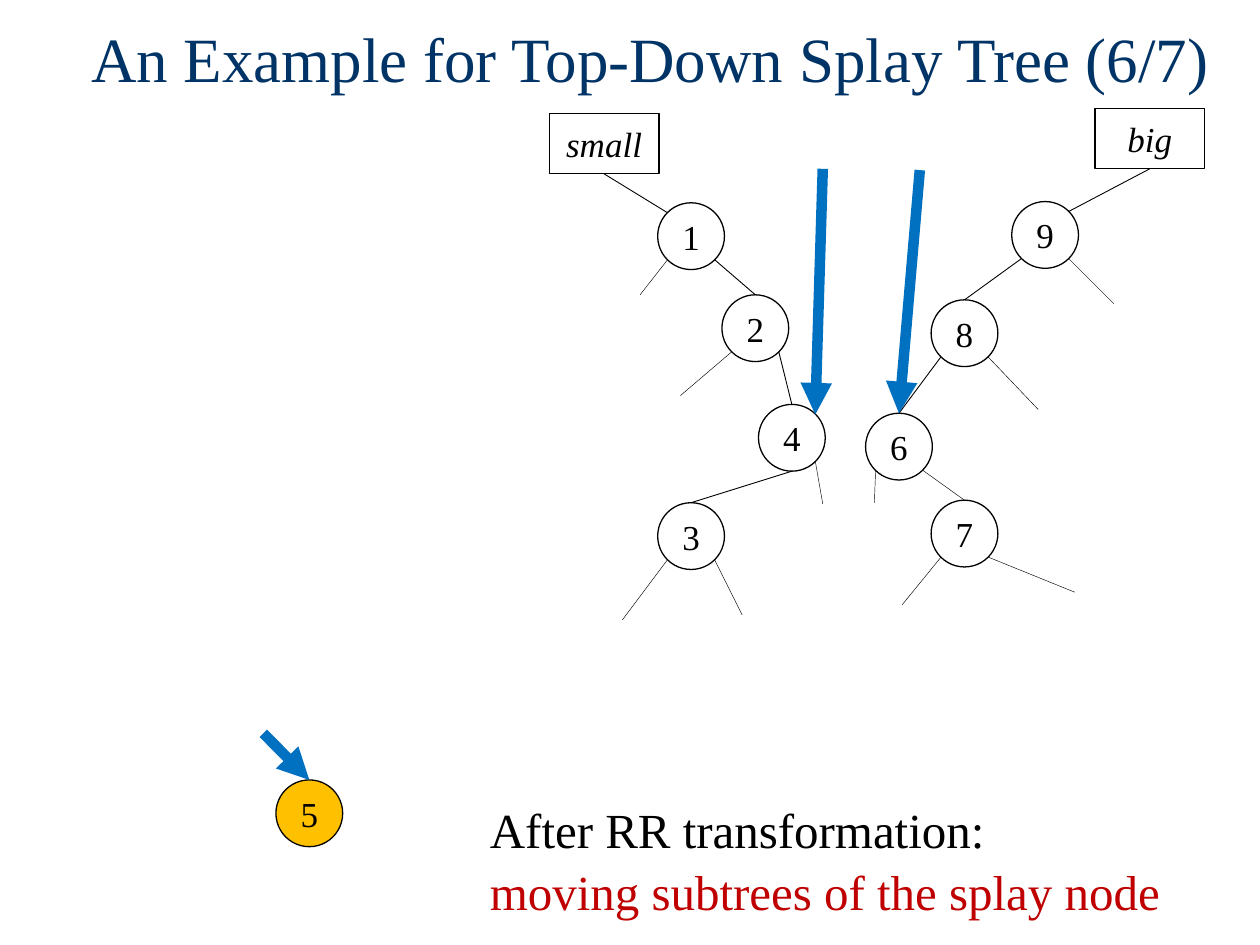
"""Build the slide showing step six of a top-down splay tree example."""
import pptx
import pptx.dml.color
import pptx.enum.shapes
import pptx.enum.text
import pptx.oxml
import pptx.oxml.ns
import pptx.util

Inches = pptx.util.Inches
Pt = pptx.util.Pt
SHAPES = pptx.enum.shapes.MSO_SHAPE
ALIGN = pptx.enum.text.PP_ALIGN
ANCHOR = pptx.enum.text.MSO_ANCHOR

DIAMETER = 0.53
NODES = {
    "1": (5.22, 1.61), "2": (5.73, 2.34), "3": (5.22, 3.99),
    "4": (6.02, 3.21), "5": (2.19, 6.19), "6": (6.87, 3.28),
    "7": (7.39, 3.97), "8": (7.39, 2.38), "9": (8.03, 1.6),
}
ANCHORS = {
    "top": (0.5, 0), "bottom": (0.5, 1),
    "upper left": (0.15, 0.15), "upper right": (0.85, 0.15),
    "lower left": (0.15, 0.85), "lower right": (0.85, 0.85),
}
BRANCHES = [
    ("1", "lower right", "2", "top", 0.5),
    ("2", "lower right", "4", "top", 0.5),
    ("4", "bottom", "3", "top", 0.5),
    ("9", "lower left", "8", "top", 0.5),
    ("8", "lower left", "6", "top", 0.5),
    ("6", "lower right", "7", "top", 0.25),
]
SUBTREES = [
    ("1", "lower left", (5.08, 2.34)), ("2", "lower left", (5.4, 3.14)),
    ("3", "lower left", (4.94, 4.92)), ("3", "lower right", (5.89, 4.88)),
    ("4", "lower right", (6.53, 4)), ("6", "lower left", (6.94, 3.99)),
    ("7", "lower left", (7.16, 4.8)), ("7", "lower right", (8.53, 4.7)),
    ("8", "lower right", (8.24, 3.25)), ("9", "lower right", (8.84, 2.41)),
]
ROOTS = [
    ("small", (4.36, 0.9), "1", "upper left"),
    ("big", (8.69, 0.86), "9", "upper right"),
]
POINTERS = [
    ((2.09, 5.82), "5", "top"),
    ((7.3, 1.35), "6", "top"),
    ((6.53, 1.34), "4", "upper right"),
]


def color(value):
    """Turn a hex string into a colour."""
    return pptx.dml.color.RGBColor.from_string(value)


def node_point(node, anchor):
    """Return the position of an anchor on the rim of a node."""
    return tuple(start + DIAMETER * share
                 for start, share in zip(NODES[node], ANCHORS[anchor]))


class SlideBuilder:
    """Hold the style and the current slide."""

    font_name = "Times New Roman"
    ink = "000000"
    blue = "0070C0"

    def __init__(self, slide):
        """Keep the slide to draw on."""
        self.slide = slide

    def set_text(self, paragraph, text, size, ink, alignment=ALIGN.CENTER):
        """Fill a paragraph with text in the house font."""
        paragraph.text = text
        paragraph.alignment = alignment
        paragraph.font.name = self.font_name
        paragraph.font.size = Pt(size)
        paragraph.font.color.rgb = color(ink)

    def text(self, box, lines, size, alignment, anchor, gap=0):
        """Add a text box with one coloured paragraph per line."""
        frame = self.slide.shapes.add_textbox(*map(Inches, box)).text_frame
        frame.word_wrap = True
        frame.vertical_anchor = anchor
        for index, (line, ink) in enumerate(lines):
            paragraph = frame.add_paragraph() if index else frame.paragraphs[0]
            self.set_text(paragraph, line, size, ink, alignment)
            if index:
                paragraph.space_before = Pt(gap)

    def label(self, kind, box, text, fill=None, italic=False):
        """Add an outlined shape with a centred label."""
        shape = self.slide.shapes.add_shape(kind, *map(Inches, box))
        shape.shadow.inherit = False
        if fill:
            shape.fill.solid()
            shape.fill.fore_color.rgb = color(fill)
        else:
            shape.fill.background()
        shape.line.color.rgb = color(self.ink)
        shape.line.width = Pt(0.75)
        frame = shape.text_frame
        frame.word_wrap = False
        frame.vertical_anchor = ANCHOR.MIDDLE
        self.set_text(frame.paragraphs[0], text, 20, self.ink)
        frame.paragraphs[0].font.italic = italic

    def line(self, start, end, width):
        """Add a thin straight line and return it."""
        connector = self.slide.shapes.add_connector(
            pptx.enum.shapes.MSO_CONNECTOR.STRAIGHT, *map(Inches, start + end))
        connector.line.color.rgb = color(self.ink)
        connector.line.width = Pt(width)
        connector.element.spPr.append(pptx.oxml.parse_xml(
            f"<a:effectLst {pptx.oxml.ns.nsdecls('a')}/>"))
        return connector

    def pointer(self, start, end):
        """Add a thick blue arrow."""
        connector = self.line(start, end, 6)
        connector.line.color.rgb = color(self.blue)
        outline = connector.element.spPr.find(pptx.oxml.ns.qn("a:ln"))
        outline.append(pptx.oxml.parse_xml(
            f"<a:tailEnd {pptx.oxml.ns.nsdecls('a')} type='triangle'/>"))


def main():
    """Draw the tree and save the presentation."""
    presentation = pptx.Presentation()
    presentation.slide_width = Inches(10)
    presentation.slide_height = Inches(7.5)
    builder = SlideBuilder(
        presentation.slides.add_slide(presentation.slide_layouts[6]))

    builder.text((0.53, -0.17, 9.26, 1.25),
                 [("An Example for Top-Down Splay Tree (6/7)", "003366")],
                 36, ALIGN.CENTER, ANCHOR.MIDDLE)
    builder.text((3.79, 6.3, 5.57, 1.04),
                 [("After RR transformation:", builder.ink),
                  ("moving subtrees of the splay node", "C00000")],
                 28, ALIGN.LEFT, ANCHOR.TOP, gap=1.5)

    for name, (left, top), node, anchor in ROOTS:
        width, height = 0.87, 0.48
        builder.label(SHAPES.RECTANGLE, (left, top, width, height), name,
                      "FFFFFF", italic=True)
        builder.line((left + width / 2, top + height),
                     node_point(node, anchor), 0.5)
    for node, position in NODES.items():
        builder.label(SHAPES.OVAL, position + (DIAMETER, DIAMETER), node,
                      "FFC000" if node == "5" else None)
    for parent, start, child, end, width in BRANCHES:
        builder.line(node_point(parent, start), node_point(child, end), width)
    for node, anchor, end in SUBTREES:
        builder.line(node_point(node, anchor), end, 0.25)
    for start, node, anchor in POINTERS:
        builder.pointer(start, node_point(node, anchor))

    presentation.save("out.pptx")


if __name__ == "__main__":
    main()
